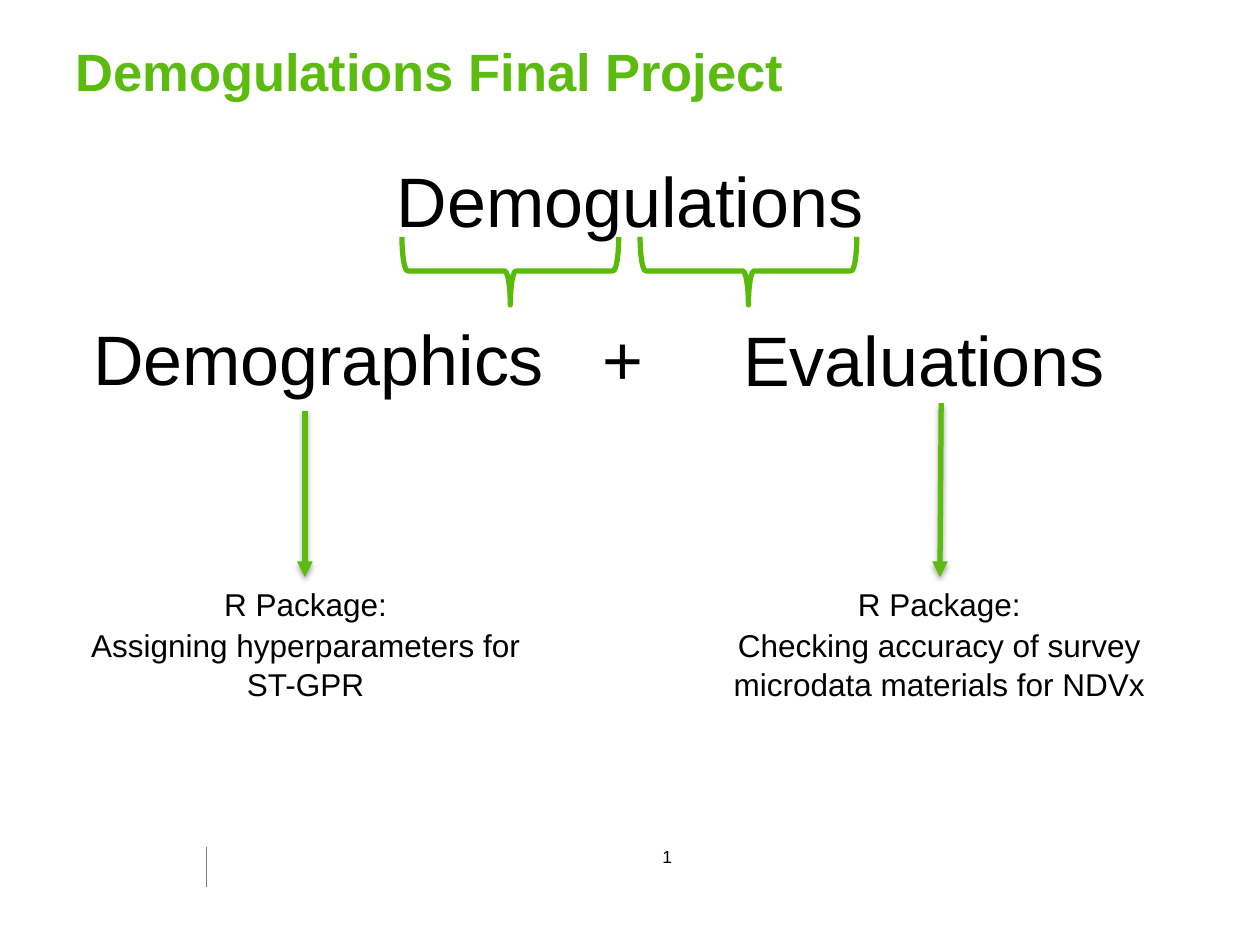
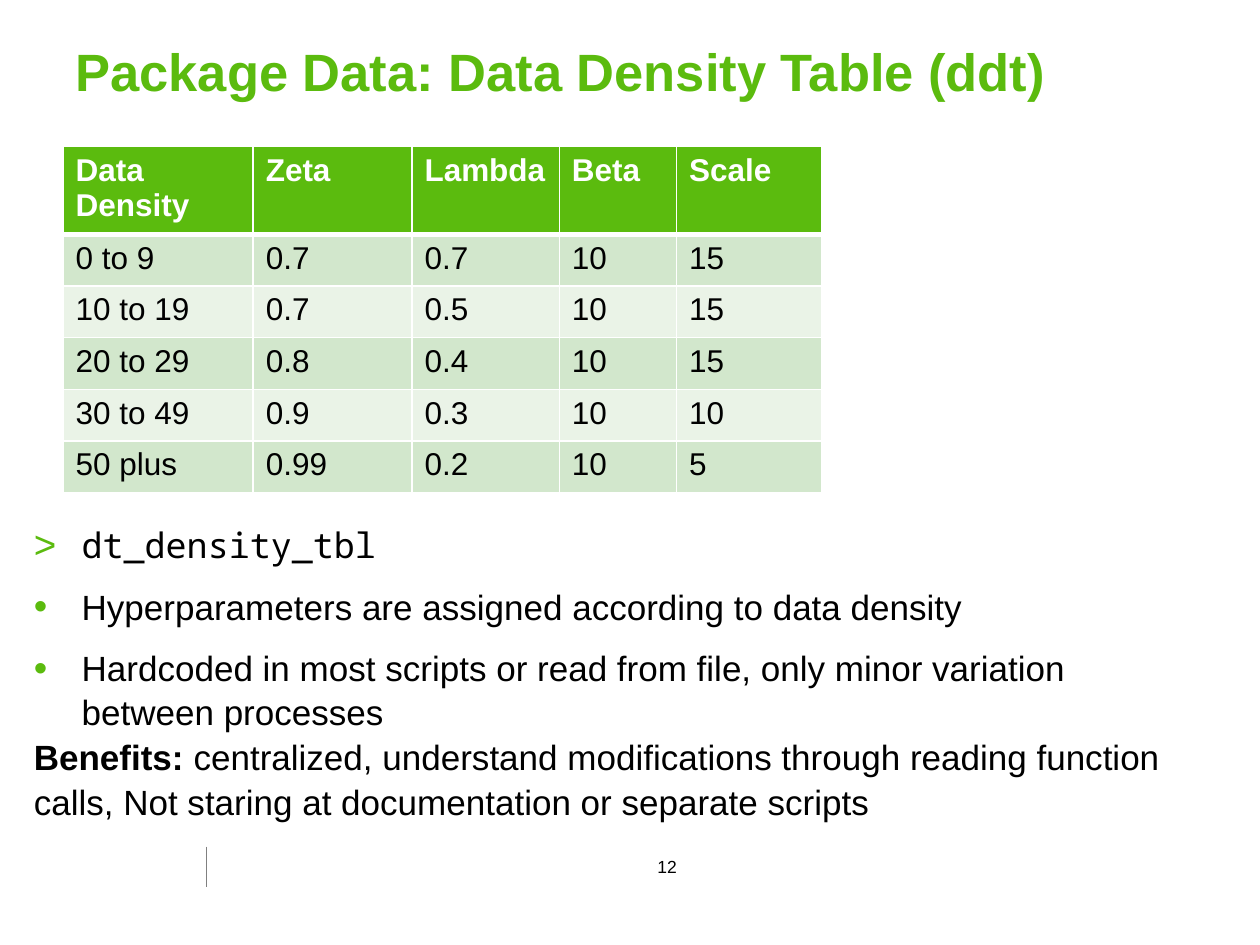
from dataclasses import dataclass

from lxml import etree
from pptx import Presentation
from pptx.dml.color import RGBColor
from pptx.enum import shapes, text
from pptx.oxml import ns
from pptx.util import Inches, Pt

GREEN = RGBColor(0x5B, 0xBB, 0x0E)
BRACE_GREEN = RGBColor(0x59, 0xBB, 0x09)
DARK_BAND = RGBColor(0xD2, 0xE7, 0xCC)
LIGHT_BAND = RGBColor(0xEA, 0xF3, 0xE7)
GRAY = RGBColor(0x80, 0x80, 0x80)
BLACK = RGBColor(0, 0, 0)
WHITE = RGBColor(0xFF, 0xFF, 0xFF)
SANS = "Arial"
MONO = "Noto Sans Mono"
CENTER = text.PP_ALIGN.CENTER
LEFT = text.PP_ALIGN.LEFT


@dataclass
class Line:
    words: str
    lead: str = ""
    bullet: str = ""
    font: str = SANS
    before: float = 0.5


@dataclass
class Passage:
    left: float
    top: float
    width: float
    height: float
    lines: list[Line]
    size: float
    color: RGBColor = BLACK
    bold: bool = False
    align: text.PP_ALIGN = LEFT
    wrap: bool = True
    anchor: text.MSO_ANCHOR = text.MSO_ANCHOR.TOP


@dataclass
class Stroke:
    start: tuple[float, float]
    end: tuple[float, float]
    color: RGBColor
    weight: float
    arrow: bool = False


def add_xml(parent, tag: str, **attributes):
    return etree.SubElement(parent, ns.qn(tag), attributes)


def style_run(run, font: str, size: float, color: RGBColor, bold: bool) -> None:
    run.font.name = font
    run.font.size = Pt(size)
    run.font.color.rgb = color
    run.font.bold = bold


def set_bullet(paragraph, mark: str) -> None:
    props = paragraph._p.get_or_add_pPr()
    indent = Inches(0.38)
    props.set("marL", str(indent))
    props.set("indent", str(-indent))
    add_xml(add_xml(props, "a:buClr"), "a:srgbClr", val=str(GREEN))
    add_xml(props, "a:buSzPct", val="110000")
    add_xml(props, "a:buFont", typeface=SANS)
    add_xml(props, "a:buChar", char=mark)


def draw_passage(slide, passage: Passage) -> None:
    box = slide.shapes.add_textbox(Inches(passage.left), Inches(passage.top),
                                   Inches(passage.width), Inches(passage.height))
    frame = box.text_frame
    frame.word_wrap = passage.wrap
    frame.vertical_anchor = passage.anchor
    for index, line in enumerate(passage.lines):
        paragraph = frame.add_paragraph() if index else frame.paragraphs[0]
        paragraph.text = line.lead or line.words
        if line.lead:
            paragraph.add_run().text = line.words
        paragraph.alignment = passage.align
        paragraph.line_spacing = 1.05
        paragraph.space_before = Pt(line.before)
        if line.bullet:
            set_bullet(paragraph, line.bullet)
        for position, run in enumerate(paragraph.runs):
            bold = passage.bold or (bool(line.lead) and position == 0)
            style_run(run, line.font, passage.size, passage.color, bold)


def draw_stroke(slide, stroke: Stroke) -> None:
    connector = slide.shapes.add_connector(
        shapes.MSO_CONNECTOR.STRAIGHT,
        *(Inches(value) for value in stroke.start + stroke.end))
    connector.line.color.rgb = stroke.color
    connector.line.width = Pt(stroke.weight)
    effects = add_xml(connector._element.spPr, "a:effectLst")
    if stroke.arrow:
        add_xml(connector.line._get_or_add_ln(), "a:tailEnd", type="triangle")
        shadow = add_xml(effects, "a:outerShdw", blurRad=str(Pt(3.1)),
                         dist=str(Pt(1.8)), dir="5400000", rotWithShape="0")
        shade = add_xml(shadow, "a:srgbClr", val=str(BLACK))
        add_xml(shade, "a:alpha", val="35000")


def draw_brace(slide, left: float) -> None:
    brace = slide.shapes.add_shape(shapes.MSO_SHAPE.LEFT_BRACE, Inches(left),
                                   Inches(1.29), Inches(0.54), Inches(1.72))
    brace.rotation = 270
    brace.shadow.inherit = False
    brace.fill.background()
    brace.line.color.rgb = BRACE_GREEN
    brace.line.width = Pt(3)


def start_slide(deck, title: str, number: str, number_top: float):
    slide = deck.slides.add_slide(deck.slide_layouts[6])
    draw_stroke(slide, Stroke((1.64, 6.72), (1.64, 7.04), GRAY, 0.25))
    draw_passage(slide, Passage(0.5, 0.25, 8.96, 0.61, [Line(title, before=0)], 30,
                                GREEN, True, anchor=text.MSO_ANCHOR.BOTTOM))
    draw_passage(slide, Passage(5.11, number_top, 0.37, 0.27, [Line(number, before=0)],
                                10, align=CENTER, wrap=False))
    return slide


def set_borders(cell, top: float, bottom: float) -> None:
    props = cell._tc.get_or_add_tcPr()
    for side, weight in zip("LRTB", (1, 1, top, bottom)):
        border = add_xml(props, f"a:ln{side}", w=str(Pt(weight)))
        add_xml(add_xml(border, "a:solidFill"), "a:srgbClr", val=str(WHITE))


def draw_density_table(slide, rows: list[list[str]], widths: list[float]) -> None:
    row_height = 0.41
    table = slide.shapes.add_table(
        len(rows), len(widths), Inches(0.5), Inches(1.16),
        Inches(sum(widths)), Inches(row_height * len(rows))).table
    for column, width in zip(table.columns, widths):
        column.width = Inches(width)
    for r, values in enumerate(rows):
        table.rows[r].height = Inches(row_height)
        header = r == 0
        band = GREEN if header else DARK_BAND if r % 2 else LIGHT_BAND
        for c, value in enumerate(values):
            cell = table.cell(r, c)
            set_borders(cell, 3 if r == 1 else 1, 3 if header else 1)
            cell.fill.solid()
            cell.fill.fore_color.rgb = band
            cell.text_frame.text = value
            style_run(cell.text_frame.paragraphs[0].runs[0], SANS, 18,
                      WHITE if header else BLACK, header)


def build_project_slide(deck) -> None:
    slide = start_slide(deck, "Demogulations Final Project", "1", 6.66)
    draw_passage(slide, Passage(0.5, 1.17, 9, 4.84, [Line("Demogulations", before=8)],
                                40, align=CENTER))
    for left in (3.78, 5.67):
        draw_brace(slide, left)
    draw_passage(slide, Passage(0.64, 2.42, 5.02, 0.77, [Line("Demographics   +")], 40))
    draw_passage(slide, Passage(5.8, 2.43, 3.34, 0.77, [Line("Evaluations")], 40))
    packages = [(0.5, "Assigning hyperparameters for ST-GPR"),
                (5.53, "Checking accuracy of survey microdata materials for NDVx")]
    for left, purpose in packages:
        draw_passage(slide, Passage(left, 4.58, 3.85, 1.02,
                                    [Line("R Package:"), Line(purpose)], 18, align=CENTER))
    for start, end in (((2.42, 3.26), (2.42, 4.58)), ((7.47, 3.2), (7.46, 4.58))):
        draw_stroke(slide, Stroke(start, end, GREEN, 3, arrow=True))


def build_density_slide(deck) -> None:
    slide = start_slide(deck, "Package Data: Data Density Table (ddt)", "12", 6.74)
    draw_density_table(slide, [
        ["Data Density", "Zeta", "Lambda", "Beta", "Scale"],
        ["0 to 9", "0.7", "0.7", "10", "15"],
        ["10 to 19", "0.7", "0.5", "10", "15"],
        ["20 to 29", "0.8", "0.4", "10", "15"],
        ["30 to 49", "0.9", "0.3", "10", "10"],
        ["50 plus", "0.99", "0.2", "10", "5"],
    ], [1.51, 1.26, 1.17, 0.93, 1.15])
    draw_passage(slide, Passage(0.17, 4.09, 9.16, 2.89, [
        Line("dt_density_tbl", bullet=">", font=MONO, before=10),
        Line("Hyperparameters are assigned according to data density",
             bullet="•", before=10),
        Line("Hardcoded in most scripts or read from file, only minor variation "
             "between processes", bullet="•", before=10),
        Line("centralized, understand modifications through reading function calls, "
             "Not staring at documentation or separate scripts", lead="Benefits: "),
    ], 20))


def main() -> None:
    deck = Presentation()
    deck.slide_width = Inches(10)
    deck.slide_height = Inches(7.5)
    build_project_slide(deck)
    build_density_slide(deck)
    deck.save("out.pptx")


if __name__ == "__main__":
    main()
